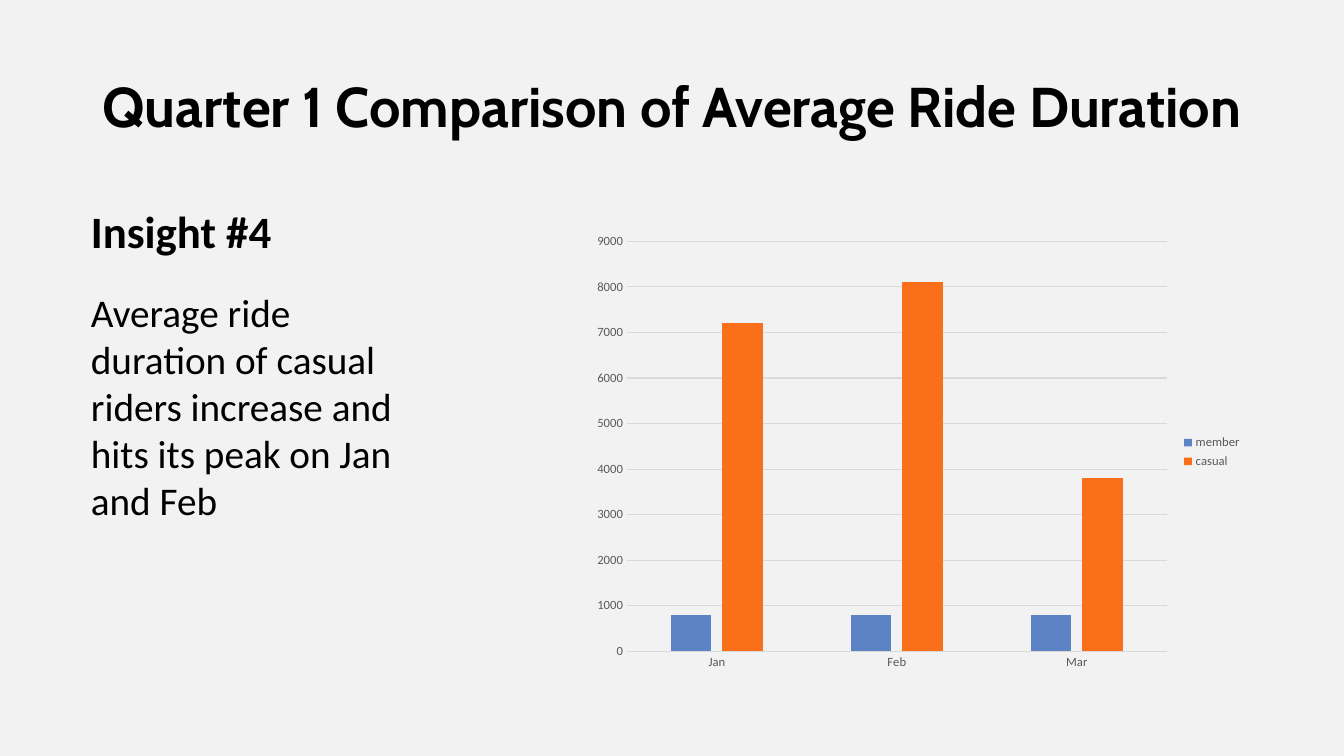
from dataclasses import dataclass

from pptx import Presentation
from pptx import util as u
from pptx.chart.data import CategoryChartData
from pptx.dml.color import RGBColor
from pptx.enum import chart as charts, text

EMU_PER_PX = 12192000 / 1344


@dataclass(frozen=True)
class Theme:
    background: str = "F2F2F2"
    ink: str = "000000"
    muted: str = "595959"
    grid: str = "D9D9D9"
    member: str = "5C83C4"
    casual: str = "FA6F1A"
    title_font: str = "Cabin"
    body_font: str = "Calibri"
    title_size: int = 40
    heading_size: int = 32
    body_size: int = 28
    label_size: int = 9


@dataclass(frozen=True)
class Box:
    left: int
    top: int
    width: int
    height: int

    def emu(self) -> tuple:
        return tuple(px(n) for n in (self.left, self.top, self.width, self.height))


@dataclass(frozen=True)
class Line:
    words: str
    size: int
    bold: bool
    font: str
    space_before: int = 0


@dataclass(frozen=True)
class Series:
    name: str
    values: tuple
    color: str


THEME = Theme()
TITLE_BOX = Box(92, 70, 1160, 78)
INSIGHT_BOX = Box(81, 199, 358, 333)
CHART_BOX = Box(584, 225, 668, 454)

TITLE = Line("Quarter 1 Comparison of Average Ride Duration",
             THEME.title_size, True, THEME.title_font)
INSIGHT = (
    Line("Insight #4", THEME.heading_size, True, THEME.body_font),
    Line("Average ride duration of casual riders increase and hits its peak on Jan and Feb",
         THEME.body_size, False, THEME.body_font, space_before=22),
)
MONTHS = ("Jan", "Feb", "Mar")
RIDERS = (
    Series("member", (800, 800, 800), THEME.member),
    Series("casual", (7200, 8100, 3800), THEME.casual),
)


def px(length: int) -> int:
    return round(length * EMU_PER_PX)


def rgb(color: str) -> RGBColor:
    return RGBColor.from_string(color)


def style_font(font, name: str, size: int, color: str, bold: bool = False) -> None:
    font.name, font.size, font.bold = name, u.Pt(size), bold
    font.color.rgb = rgb(color)


def write_line(paragraph, line: Line) -> None:
    run = paragraph.add_run()
    run.text = line.words
    style_font(run.font, line.font, line.size, THEME.ink, line.bold)
    if line.space_before:
        paragraph.space_before = u.Pt(line.space_before)


def add_title(slide) -> None:
    title = slide.shapes.title
    title.left, title.top, title.width, title.height = TITLE_BOX.emu()
    frame = title.text_frame
    frame.auto_size = text.MSO_AUTO_SIZE.NONE
    frame.vertical_anchor = text.MSO_ANCHOR.MIDDLE
    paragraph = frame.paragraphs[0]
    paragraph.alignment = text.PP_ALIGN.CENTER
    paragraph.line_spacing = 0.9
    write_line(paragraph, TITLE)


def add_insight(slide) -> None:
    frame = slide.shapes.add_textbox(*INSIGHT_BOX.emu()).text_frame
    frame.word_wrap = True
    frame.auto_size = text.MSO_AUTO_SIZE.SHAPE_TO_FIT_TEXT
    for index, line in enumerate(INSIGHT):
        paragraph = frame.add_paragraph() if index else frame.paragraphs[0]
        write_line(paragraph, line)


def style_grid_line(line) -> None:
    line.color.rgb = rgb(THEME.grid)
    line.width = u.Pt(0.75)


def add_ride_chart(slide) -> None:
    data = CategoryChartData()
    data.categories = MONTHS
    for series in RIDERS:
        data.add_series(series.name, series.values)
    chart = slide.shapes.add_chart(
        charts.XL_CHART_TYPE.COLUMN_CLUSTERED, *CHART_BOX.emu(), data).chart
    chart.has_title = False
    chart.font.name = THEME.body_font

    # Columns
    plot = chart.plots[0]
    plot.gap_width, plot.overlap, plot.vary_by_categories = 219, -27, False
    for column, series in zip(plot.series, RIDERS):
        column.format.fill.solid()
        column.format.fill.fore_color.rgb = rgb(series.color)

    # Axes
    for axis in (chart.category_axis, chart.value_axis):
        axis.major_tick_mark = axis.minor_tick_mark = charts.XL_TICK_MARK.NONE
        style_font(axis.tick_labels.font, THEME.body_font, THEME.label_size, THEME.muted)
    style_grid_line(chart.category_axis.format.line)
    values = chart.value_axis
    values.minimum_scale, values.maximum_scale, values.major_unit = 0, 9000, 1000
    values.format.line.fill.background()
    values.has_major_gridlines = True
    style_grid_line(values.major_gridlines.format.line)

    # Legend
    chart.has_legend = True
    chart.legend.position = charts.XL_LEGEND_POSITION.RIGHT
    chart.legend.include_in_layout = False
    style_font(chart.legend.font, THEME.body_font, THEME.label_size, THEME.muted)


def main() -> None:
    presentation = Presentation()
    presentation.slide_width, presentation.slide_height = px(1344), px(756)
    slide = presentation.slides.add_slide(presentation.slide_layouts.get_by_name("Title Only"))
    slide.background.fill.solid()
    slide.background.fill.fore_color.rgb = rgb(THEME.background)
    add_title(slide)
    add_insight(slide)
    add_ride_chart(slide)
    presentation.save("out.pptx")


if __name__ == "__main__":
    main()
